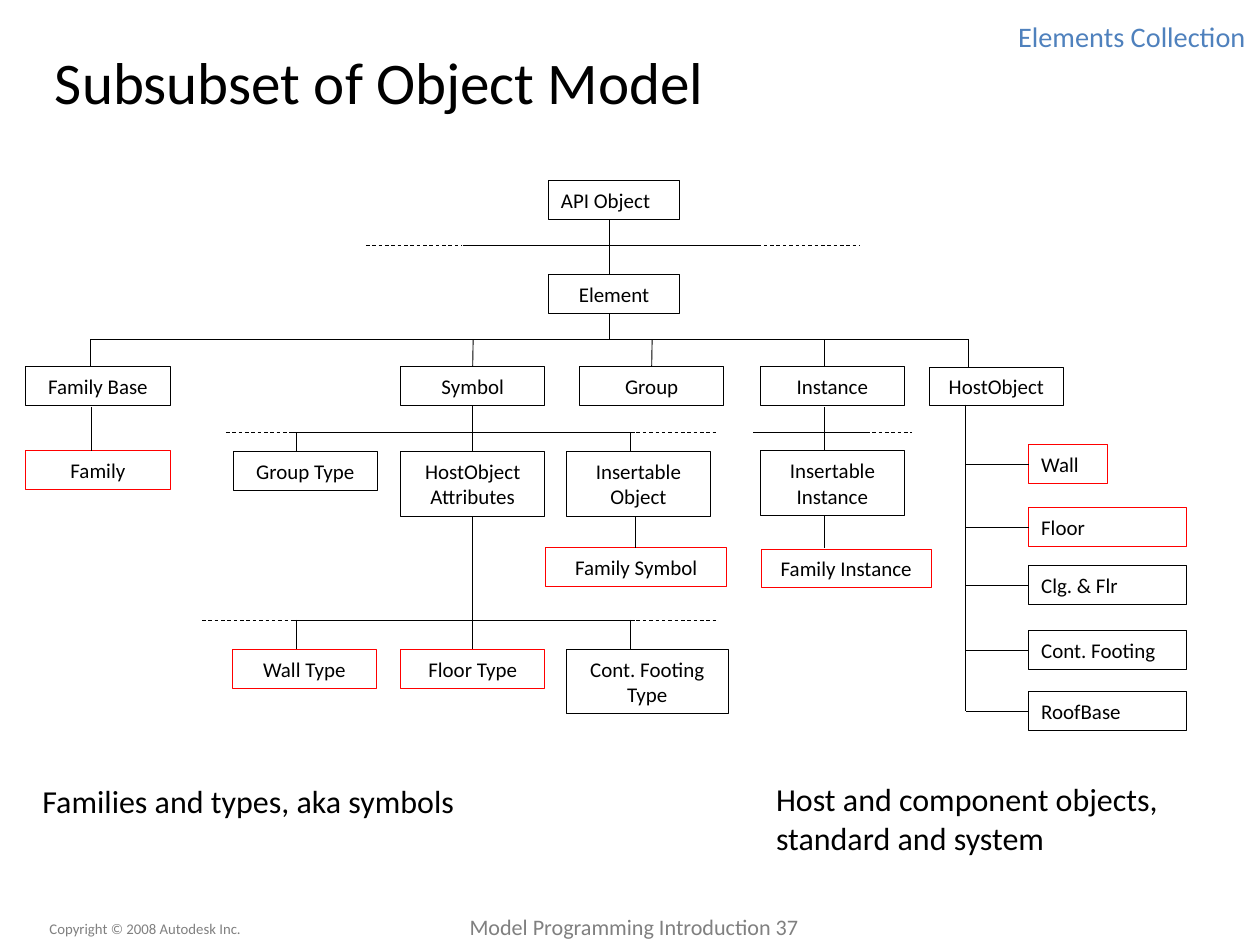
from dataclasses import dataclass
from typing import Optional

import pptx
import pptx.dml.color
import pptx.enum.dml
import pptx.enum.shapes
import pptx.enum.text
import pptx.util
from lxml import etree

Inches = pptx.util.Inches
Pt = pptx.util.Pt
ALIGN = pptx.enum.text.PP_ALIGN
ANCHOR = pptx.enum.text.MSO_ANCHOR
DASH = pptx.enum.dml.MSO_LINE.DASH
RECT = pptx.enum.shapes.MSO_SHAPE.RECTANGLE
STRAIGHT = pptx.enum.shapes.MSO_CONNECTOR.STRAIGHT

BLACK = pptx.dml.color.RGBColor(0x00, 0x00, 0x00)
RED = pptx.dml.color.RGBColor(0xFF, 0x00, 0x00)
GRAY = pptx.dml.color.RGBColor(0x80, 0x80, 0x80)
BLUE = pptx.dml.color.RGBColor(0x4F, 0x81, 0xBD)

TOP, LEFT, BOTTOM = 0, 1, 2
TRUNK_X = 10.9
LINE_WIDTH = Pt(0.75)


@dataclass
class Node:
    text: str
    x: float
    y: float
    w: float = 1.63
    h: float = 0.44
    color: pptx.dml.color.RGBColor = BLACK
    align: ALIGN = ALIGN.CENTER


@dataclass
class Caption:
    text: str
    x: float
    y: float
    w: float
    h: float
    size: float
    color: pptx.dml.color.RGBColor = BLACK
    align: ALIGN = ALIGN.LEFT
    inset: tuple[float, float] = (0.1, 0.05)


@dataclass
class Link:
    """A line whose ends may be joined to a (node name, side)."""
    x1: float
    y1: float
    x2: float
    y2: float
    begin: Optional[tuple[str, int]] = None
    end: Optional[tuple[str, int]] = None
    dashed: bool = False


HOST_CHILDREN = [
    Node("Wall", 11.61, 5.02, 0.89, color=RED, align=ALIGN.LEFT),
    Node("Floor", 11.61, 5.73, 1.78, color=RED, align=ALIGN.LEFT),
    Node("Clg. & Flr", 11.61, 6.39, 1.78, align=ALIGN.LEFT),
    Node("Cont. Footing", 11.61, 7.12, 1.78, align=ALIGN.LEFT),
    Node("RoofBase", 11.61, 7.81, 1.78, align=ALIGN.LEFT),
]

NODES = [
    Node("API Object", 6.19, 2.04, 1.48, align=ALIGN.LEFT),
    Node("Element", 6.19, 3.1, 1.48),
    Node("Family Base", 0.29, 4.14),
    Node("Symbol", 4.52, 4.14),
    Node("Group", 6.54, 4.14),
    Node("Instance", 8.58, 4.14),
    Node("HostObject", 10.49, 4.15, 1.51, 0.43),
    Node("Family", 0.29, 5.09, color=RED),
    Node("Group Type", 2.63, 5.1),
    Node("HostObject Attributes", 4.52, 5.1, h=0.73),
    Node("Insertable Object", 6.39, 5.1, h=0.73),
    Node("Insertable Instance", 8.58, 5.09, h=0.73),
    Node("Family Symbol", 6.16, 6.18, 2.04, color=RED),
    Node("Family Instance", 8.59, 6.2, 1.92, 0.43, RED),
    Node("Wall Type", 2.62, 7.33, color=RED),
    Node("Floor Type", 4.52, 7.33, color=RED),
    Node("Cont. Footing Type", 6.39, 7.33, 1.83, 0.73),
    *HOST_CHILDREN,
]

# y, then solid start and end, then the dashed stretches
BUSES = [
    (2.77, (5.22, 8.59), [(4.13, 5.21), (8.62, 9.7)]),
    (3.83, (1.02, 10.93), []),
    (4.88, (3.31, 7.17), [(2.55, 3.33), (7.04, 8.11)]),
    (4.88, (8.5, 9.82), [(9.7, 10.29)]),
    (7.0, (3.31, 7.17), [(2.28, 3.35), (7.04, 8.11)]),
]

# x, top, bottom
DROPS = [
    (6.88, 2.48, 3.09), (6.88, 3.54, 3.83),
    (1.02, 3.83, 4.14), (9.3, 3.83, 4.14), (10.93, 3.83, 4.15),
    (1.03, 4.6, 5.09), (9.31, 4.6, 5.09), (9.31, 5.82, 6.19),
    (3.35, 4.88, 5.1), (7.11, 4.88, 5.1), (7.17, 5.84, 6.19),
    (3.35, 7.0, 7.33), (7.11, 7.0, 7.33),
    (TRUNK_X, 4.57, 8.03),
]

JOINED = [
    Link(5.34, 3.83, 5.34, 4.14, end=("Symbol", TOP)),
    Link(7.36, 3.83, 7.36, 4.14, end=("Group", TOP)),
    Link(5.34, 4.58, 5.34, 5.1, ("Symbol", BOTTOM), ("HostObject Attributes", TOP)),
    Link(5.34, 5.83, 5.34, 7.33, ("HostObject Attributes", BOTTOM), ("Floor Type", TOP)),
]

CAPTIONS = [
    Caption("Subsubset of Object Model", 0.48, 0.45, 12.95, 0.92, 48, inset=(0.14, 0.07)),
    Caption("Elements Collection", 10.92, 0.21, 3.14, 0.39, 23, BLUE, ALIGN.RIGHT, (0, 0)),
    Caption("Families and types, aka symbols", 0.38, 8.77, 5.52, 0.54, 26),
    Caption("Host and component objects, standard and system", 8.66, 8.75, 4.61, 0.98, 26),
    Caption("Copyright © 2008 Autodesk Inc.", 0.46, 10.33, 2.68, 0.31, 12, GRAY),
    Caption("Model Programming Introduction 37", 5, 10.26, 4.31, 0.41, 18, GRAY, ALIGN.CENTER),
]


def write_text(sp, text: str, size: float, color, align, inset: tuple[float, float]) -> None:
    tf = sp.text_frame
    dx, dy = (Inches(v) for v in inset)
    frame_format = {
        "word_wrap": True, "vertical_anchor": ANCHOR.MIDDLE,
        "margin_left": dx, "margin_right": dx, "margin_top": dy, "margin_bottom": dy,
    }
    for name, value in frame_format.items():
        setattr(tf, name, value)
    p = tf.paragraphs[0]
    p.alignment = align
    r = p.add_run()
    r.text = text
    for name, value in {"name": "Calibri", "size": Pt(size)}.items():
        setattr(r.font, name, value)
    r.font.color.rgb = color


def add_node(s, node: Node):
    sp = s.shapes.add_shape(RECT, *map(Inches, (node.x, node.y, node.w, node.h)))
    sp.shadow.inherit = False
    sp.fill.background()
    sp.line.color.rgb = node.color
    sp.line.width = LINE_WIDTH
    write_text(sp, node.text, 17, BLACK, node.align, (0.14, 0.07))
    return sp


def add_caption(s, cap: Caption) -> None:
    sp = s.shapes.add_textbox(*map(Inches, (cap.x, cap.y, cap.w, cap.h)))
    write_text(sp, cap.text, cap.size, cap.color, cap.align, cap.inset)


def add_link(s, link: Link, boxes: dict) -> None:
    cxn = s.shapes.add_connector(STRAIGHT, *map(Inches, (link.x1, link.y1, link.x2, link.y2)))
    cxn.line.color.rgb = BLACK
    cxn.line.width = LINE_WIDTH
    if link.dashed:
        cxn.line.dash_style = DASH
    etree.SubElement(cxn._element.spPr, pptx.oxml.ns.qn("a:effectLst"))
    for join, target in ((cxn.begin_connect, link.begin), (cxn.end_connect, link.end)):
        if target:
            name, side = target
            join(boxes[name], side)


def all_links() -> list[Link]:
    links = list(JOINED)
    for y, (start, stop), dashes in BUSES:
        links.append(Link(start, y, stop, y))
        links += [Link(a, y, b, y, dashed=True) for a, b in dashes]
    links += [Link(x, top, x, bottom) for x, top, bottom in DROPS]
    for child in HOST_CHILDREN:
        mid = child.y + child.h / 2
        links.append(Link(TRUNK_X, mid, child.x, mid, end=(child.text, LEFT)))
    return links


def main() -> None:
    prs = pptx.Presentation()
    prs.slide_width, prs.slide_height = Inches(14.22), Inches(10.67)
    s = prs.slides.add_slide(prs.slide_layouts[6])
    boxes = {node.text: add_node(s, node) for node in NODES}
    for link in all_links():
        add_link(s, link, boxes)
    for cap in CAPTIONS:
        add_caption(s, cap)
    prs.save("out.pptx")


if __name__ == "__main__":
    main()
